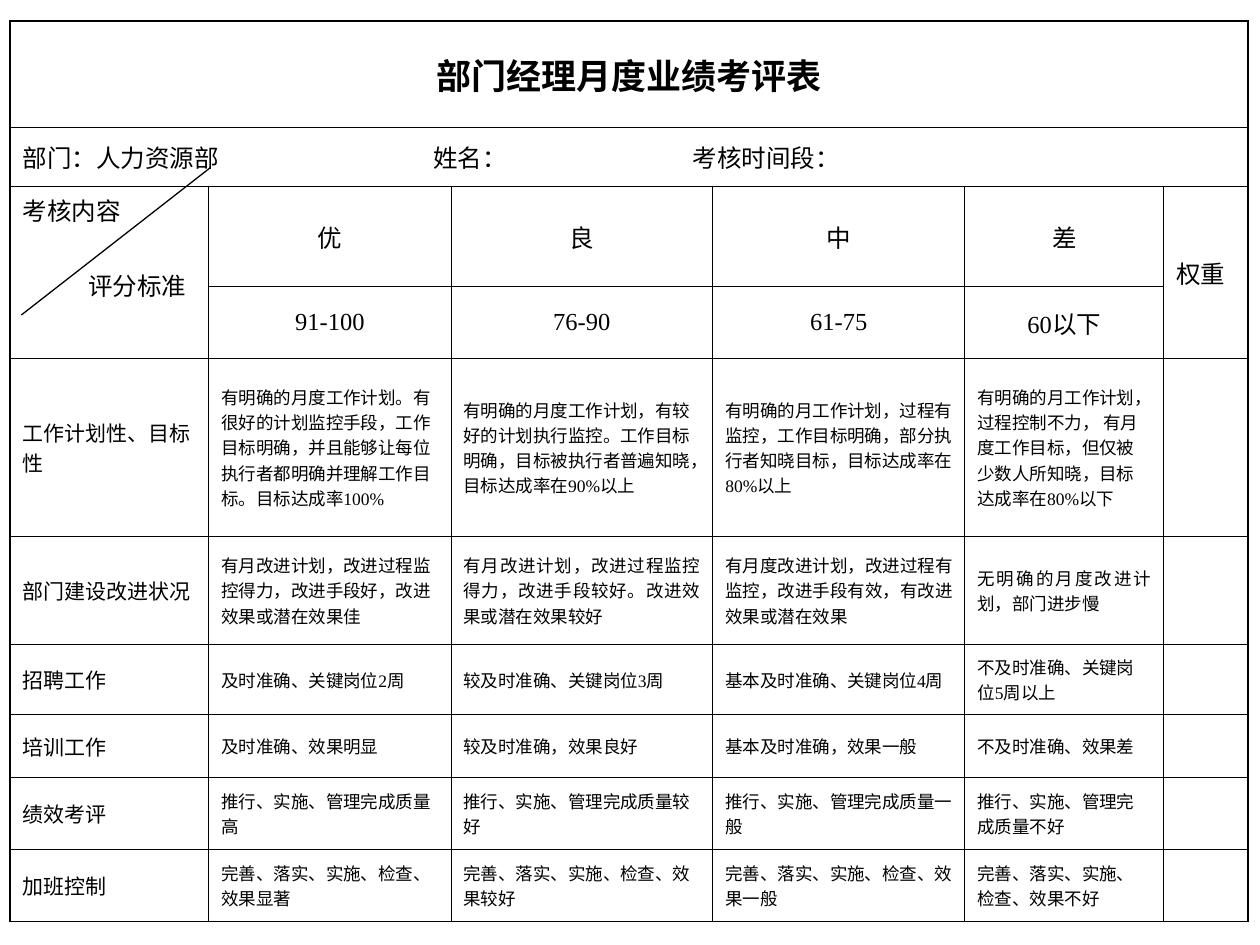
from dataclasses import dataclass

from lxml.etree import SubElement
from pptx import Presentation
from pptx.dml.color import RGBColor
from pptx.enum.shapes import MSO_CONNECTOR as Connector
from pptx.enum.text import MSO_ANCHOR as Anchor, PP_ALIGN as Align
from pptx.oxml import parse_xml
from pptx.oxml.ns import nsdecls, qn
from pptx.util import Cm, Pt


@dataclass(frozen=True)
class Theme:
    ink: RGBColor = RGBColor(0, 0, 0)
    font: str = "Times New Roman"
    title: float = 20
    header: float = 14
    label: float = 12
    body: float = 10
    inner_line: float = 0.45
    outer_line: float = 1.08
    diagonal: float = 0.75


THEME = Theme()
BOX = (0.2, 0.43)
COLUMNS = [4.01, 4.88, 5.28, 5.08, 4.01, 1.7]
ROWS = [2.13, 1.19, 2.03, 1.45, 3.58, 2.18, 1.42, 1.27, 1.45, 1.45]
MERGES = {(0, 0): (1, 6), (1, 0): (1, 6), (2, 0): (2, 1), (2, 5): (2, 1)}
INFO_TABS = [8.28, 13.51]
GRADES = [("优", "91-100"), ("良", "76-90"), ("中", "61-75"), ("差", "60以下")]
CRITERIA = [
    ("工作计划性、目标性",
     "有明确的月度工作计划。有很好的计划监控手段，工作目标明确，并且能够让每位执行者都明确并理解工作目标。目标达成率100%",
     "有明确的月度工作计划，有较好的计划执行监控。工作目标明确，目标被执行者普遍知晓，目标达成率在90%以上",
     "有明确的月工作计划，过程有监控，工作目标明确，部分执行者知晓目标，目标达成率在80%以上",
     "有明确的月工作计划，过程控制不力， 有月度工作目标，但仅被少数人所知晓，目标达成率在80%以下"),
    ("部门建设改进状况",
     "有月改进计划，改进过程监控得力，改进手段好，改进效果或潜在效果佳",
     "有月改进计划，改进过程监控得力，改进手段较好。改进效果或潜在效果较好",
     "有月度改进计划，改进过程有监控，改进手段有效，有改进效果或潜在效果",
     "无明确的月度改进计划，部门进步慢"),
    ("招聘工作", "及时准确、关键岗位2周", "较及时准确、关键岗位3周",
     "基本及时准确、关键岗位4周", "不及时准确、关键岗位5周以上"),
    ("培训工作", "及时准确、效果明显", "较及时准确，效果良好",
     "基本及时准确，效果一般", "不及时准确、效果差"),
    ("绩效考评", "推行、实施、管理完成质量高", "推行、实施、管理完成质量较好",
     "推行、实施、管理完成质量一般", "推行、实施、管理完成质量不好"),
    ("加班控制", "完善、落实、实施、检查、效果显著", "完善、落实、实施、检查、效果较好",
     "完善、落实、实施、检查、效果一般", "完善、落实、实施、检查、效果不好"),
]


def set_all(target, values):
    for name, value in values.items():
        setattr(target, name, value)


def write(para, text, size, bold=False, align=Align.LEFT):
    para.alignment = align
    span = para.add_run()
    span.text = text
    set_all(span.font, {"name": THEME.font, "size": Pt(size), "bold": bold})
    span.font.color.rgb = THEME.ink


def fill_cell(cell, text, size, **style):
    write(cell.text_frame.paragraphs[0], text, size, **style)


def draw_borders(cell, outer_sides):
    properties = cell._tc.get_or_add_tcPr()
    for index, side in enumerate("LRTB"):
        points = THEME.outer_line if side in outer_sides else THEME.inner_line
        properties.insert(index, parse_xml(
            f'<a:ln{side} {nsdecls("a")} w="{Pt(points)}"><a:solidFill>'
            f'<a:srgbClr val="{THEME.ink}"/></a:solidFill></a:ln{side}>'))


def format_grid(table):
    for row in range(len(ROWS)):
        for column in range(len(COLUMNS)):
            cell = table.cell(row, column)
            height, width = MERGES.get((row, column), (1, 1))
            edges = {"L": column == 0, "R": column + width == len(COLUMNS),
                     "T": row == 0, "B": row + height == len(ROWS)}
            cell.vertical_anchor = Anchor.MIDDLE
            cell.fill.background()
            draw_borders(cell, [side for side, outer in edges.items() if outer])
    for (row, column), (height, width) in MERGES.items():
        table.cell(row, column).merge(
            table.cell(row + height - 1, column + width - 1))


def fill_heading(table):
    fill_cell(table.cell(0, 0), "部门经理月度业绩考评表", THEME.title,
              bold=True, align=Align.CENTER)
    info = table.cell(1, 0)
    tabs = SubElement(info.text_frame.paragraphs[0]._p.get_or_add_pPr(), qn("a:tabLst"))
    for position in INFO_TABS:
        SubElement(tabs, qn("a:tab"), pos=str(Cm(position)), algn="l")
    fill_cell(info, "部门：人力资源部\t姓名：\t考核时间段：", THEME.header)


def fill_grades(table):
    corner = table.cell(2, 0)
    corner.vertical_anchor = Anchor.TOP
    fill_cell(corner, "考核内容", THEME.header)
    para = corner.text_frame.add_paragraph()
    para._p.get_or_add_pPr().set("marL", str(Cm(1.32)))
    para.space_before = Pt(22)
    write(para, "评分标准", THEME.header)
    for column, grade in enumerate(GRADES, 1):
        for row, text in enumerate(grade, 2):
            fill_cell(table.cell(row, column), text, THEME.header, align=Align.CENTER)
    fill_cell(table.cell(2, 5), "权重", THEME.header)


def fill_criteria(table):
    for row, (label, *standards) in enumerate(CRITERIA, 4):
        fill_cell(table.cell(row, 0), label, THEME.label)
        for column, text in enumerate(standards, 1):
            justified = row == 5 and column > 1
            fill_cell(table.cell(row, column), text, THEME.body,
                      align=Align.JUSTIFY if justified else Align.LEFT)


def add_review_table(page, left, top):
    frame = page.shapes.add_table(len(ROWS), len(COLUMNS), Cm(left), Cm(top),
                                  Cm(sum(COLUMNS)), Cm(sum(ROWS)))
    table = frame.table
    set_all(table, {"first_row": False, "horz_banding": False})
    for column, width in zip(table.columns, COLUMNS):
        column.width = Cm(width)
    for row, height in zip(table.rows, ROWS):
        row.height = Cm(height)
    format_grid(table)
    fill_heading(table)
    fill_grades(table)
    fill_criteria(table)


def add_diagonal(page, left, top):
    diagonal = page.shapes.add_connector(
        Connector.STRAIGHT, Cm(left + 0.23), Cm(top + 5.92),
        Cm(left + 4.04), Cm(top + 2.95))
    diagonal.line.width = Pt(THEME.diagonal)
    diagonal.line.color.rgb = THEME.ink
    SubElement(diagonal._element.spPr, qn("a:effectLst"))


def main():
    deck = Presentation()
    set_all(deck, {"slide_width": Cm(25.4), "slide_height": Cm(19.05)})
    page = deck.slides.add_slide(deck.slide_layouts[6])
    add_review_table(page, *BOX)
    add_diagonal(page, *BOX)
    deck.save("out.pptx")


if __name__ == "__main__":
    main()
